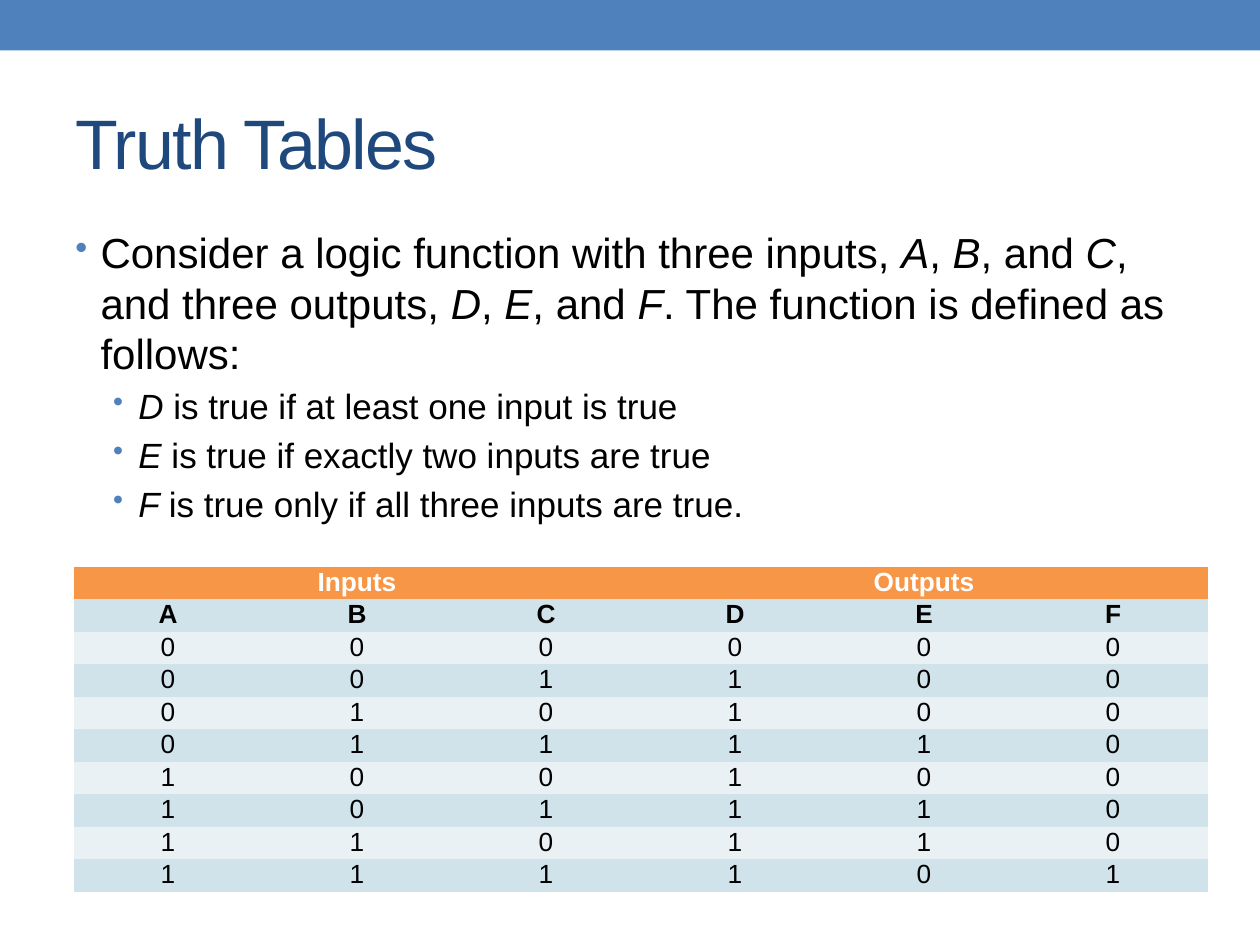
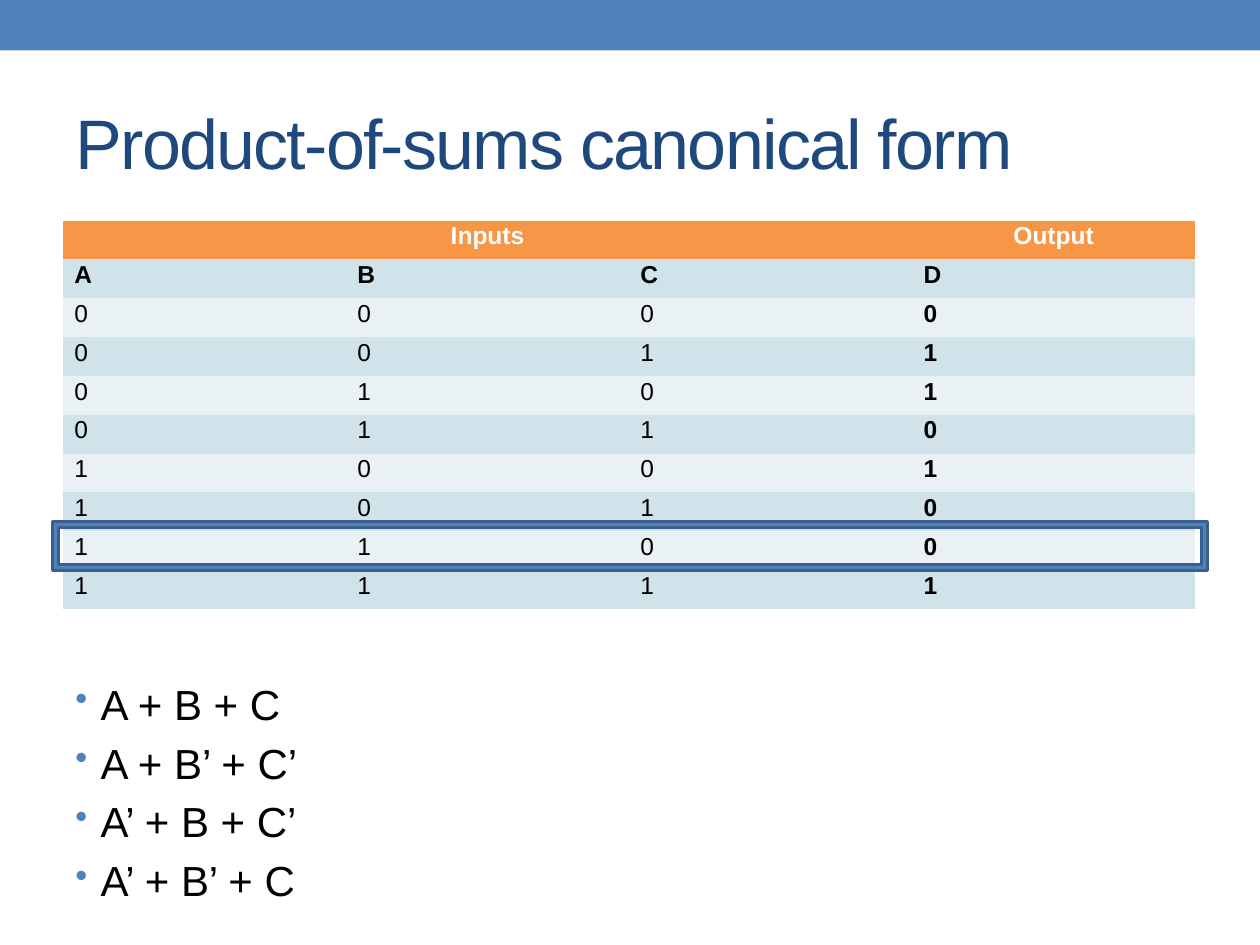
from itertools import product

from lxml import etree
from pptx import Presentation
from pptx.dml.color import RGBColor
from pptx.enum.shapes import MSO_SHAPE
from pptx.enum.text import MSO_ANCHOR, PP_ALIGN
from pptx.oxml.ns import qn
from pptx.util import Pt

RECTANGLE, FRAME = MSO_SHAPE.RECTANGLE, MSO_SHAPE.FRAME
LEFT, CENTER = PP_ALIGN.LEFT, PP_ALIGN.CENTER
MIDDLE = MSO_ANCHOR.MIDDLE

BLUE = RGBColor(0x4F, 0x81, 0xBD)
FRAME_EDGE = RGBColor(0x3A, 0x5F, 0x8C)
NAVY = RGBColor(0x1F, 0x49, 0x7D)
ORANGE = RGBColor(0xF7, 0x96, 0x46)
BAND_DARK = RGBColor(0xD0, 0xE3, 0xEA)
BAND_LIGHT = RGBColor(0xE9, 0xF1, 0xF5)
BLACK = RGBColor(0, 0, 0)
WHITE = RGBColor(0xFF, 0xFF, 0xFF)

FONT = "Arial"
SLIDE_WIDTH, SLIDE_HEIGHT = 720, 540
TITLE_ONLY_LAYOUT = 5
PLAIN_TABLE_STYLE = "{2D5ABB26-0587-4C30-8999-92F81FD0307C}"
BULLET_SIZES = (24, 20)
BULLET_INDENTS = (14.4, 36)
BULLET_HANG = 14.4


def add_run(paragraph, text, size, color, bold=False, italic=False):
    run = paragraph.add_run()
    run.text = text
    font = run.font
    font.name, font.size, font.bold, font.italic = FONT, Pt(size), bold, italic
    font.color.rgb = color
    return run


def place(shape, box):
    shape.left, shape.top, shape.width, shape.height = map(Pt, box)


def add_filled_shape(slide, kind, box):
    shape = slide.shapes.add_shape(kind, *map(Pt, box))
    shape.shadow.inherit = False
    shape.fill.solid()
    shape.fill.fore_color.rgb = BLUE
    shape.line.fill.background()
    return shape


def add_titled_slide(prs, title):
    """Add a slide with the top band and its title."""
    slide = prs.slides.add_slide(prs.slide_layouts[TITLE_ONLY_LAYOUT])
    add_filled_shape(slide, RECTANGLE, (0, 0, SLIDE_WIDTH, 28.8))
    heading = slide.shapes.title
    place(heading, (36, 42, 648, 78))
    heading.text_frame.vertical_anchor = MIDDLE
    paragraph = heading.text_frame.paragraphs[0]
    paragraph.alignment = LEFT
    run = add_run(paragraph, title, 40, NAVY)
    run.font._element.set("spc", "-100")
    return slide


def set_bullet(paragraph, level):
    properties = paragraph._p.get_or_add_pPr()
    properties.set("marL", str(Pt(BULLET_INDENTS[level])))
    properties.set("indent", str(-Pt(BULLET_HANG)))
    color = etree.SubElement(properties, qn("a:buClr"))
    etree.SubElement(color, qn("a:srgbClr"), val=str(BLUE))
    etree.SubElement(properties, qn("a:buSzPct"), val="85000")
    etree.SubElement(properties, qn("a:buChar"), char="•")


def add_bullets(slide, box, items):
    """Add (level, text) bullets; asterisks enclose italic words."""
    frame = slide.shapes.add_textbox(*map(Pt, box)).text_frame
    frame.word_wrap = True
    for index, (level, text) in enumerate(items):
        paragraph = frame.add_paragraph() if index else frame.paragraphs[0]
        size = BULLET_SIZES[level]
        paragraph.level = level
        set_bullet(paragraph, level)
        paragraph.space_before = Pt(0.2 * size if index else 0)
        for part, words in enumerate(text.split("*")):
            if words:
                add_run(paragraph, words, size, BLACK, italic=part % 2 == 1)


def fill_cell(cell, text, fill, color, size, bold, align, inset, spacing):
    cell.fill.solid()
    cell.fill.fore_color.rgb = fill
    cell.margin_left = cell.margin_right = Pt(inset)
    cell.margin_top = cell.margin_bottom = 0
    paragraph = cell.text_frame.paragraphs[0]
    paragraph.alignment = align
    paragraph.line_spacing = spacing
    if text:
        add_run(paragraph, text, size, color, bold)


def add_truth_table(slide, box, output_heading, outputs, size, align, inset,
                    spacing, bold_outputs=False):
    """Tabulate the output functions, keyed by name, for all values of A, B, C."""
    names = ["A", "B", "C", *outputs]
    inputs_count = len(names) - len(outputs)
    group_row = [""] * len(names)
    group_row[0], group_row[inputs_count] = "Inputs", output_heading
    rows = [group_row, names]
    for bits in product((0, 1), repeat=inputs_count):
        results = [int(output(bits)) for output in outputs.values()]
        rows.append([str(value) for value in (*bits, *results)])

    graphic = slide.shapes.add_table(len(rows), len(names), *map(Pt, box))
    graphic._element.find(".//" + qn("a:tableStyleId")).text = PLAIN_TABLE_STYLE
    table = graphic.table
    table.first_row = table.horz_banding = False
    for column in table.columns:
        column.width = Pt(box[2] / len(names))
    for r, row in enumerate(rows):
        table.rows[r].height = Pt(box[3] / len(rows))
        band = BAND_DARK if r % 2 else BAND_LIGHT
        for c, text in enumerate(row):
            bold = r < 2 or (bold_outputs and c >= inputs_count)
            fill_cell(table.cell(r, c), text,
                      band if r else ORANGE, BLACK if r else WHITE,
                      size, bold, align if r else CENTER, inset, spacing)
    table.cell(0, 0).merge(table.cell(0, inputs_count - 1))
    if len(outputs) > 1:
        table.cell(0, inputs_count).merge(table.cell(0, len(names) - 1))


def add_row_marker(slide, box):
    marker = add_filled_shape(slide, FRAME, box)
    marker.line.color.rgb = FRAME_EDGE
    marker.line.width = Pt(2.08)


def build_truth_tables(prs):
    slide = add_titled_slide(prs, "Truth Tables")
    add_bullets(slide, (36, 126, 648, 384), [
        (0, "Consider a logic function with three inputs, *A*, *B*, and *C*, "
            "and three outputs, *D*, *E*, and *F*. "
            "The function is defined as follows:"),
        (1, "*D *is true if at least one input is true"),
        (1, "*E *is true if exactly two inputs are true"),
        (1, "*F *is true only if all three inputs are true."),
    ])
    outputs = {"D": any, "E": lambda bits: sum(bits) == 2, "F": all}
    add_truth_table(slide, (42, 324, 648, 185.8), "Outputs", outputs,
                    size=15, align=CENTER, inset=7.2, spacing=1.02)


def build_product_of_sums(prs):
    slide = add_titled_slide(prs, "Product-of-sums canonical form")
    terms = ("A + B + C", "A + B’ + C’", "A’ + B + C’", "A’ + B’ + C")
    add_bullets(slide, (36, 384, 648, 156), [(0, term) for term in terms])
    odd_parity = {"D": lambda bits: sum(bits) % 2}
    add_truth_table(slide, (36, 126, 647, 222), "Output", odd_parity,
                    size=14, align=LEFT, inset=6.5, spacing=1.07,
                    bold_outputs=True)
    add_row_marker(slide, (30, 298, 660, 28))


def main():
    prs = Presentation()
    prs.slide_width, prs.slide_height = Pt(SLIDE_WIDTH), Pt(SLIDE_HEIGHT)
    build_truth_tables(prs)
    build_product_of_sums(prs)
    prs.save("out.pptx")


if __name__ == "__main__":
    main()
